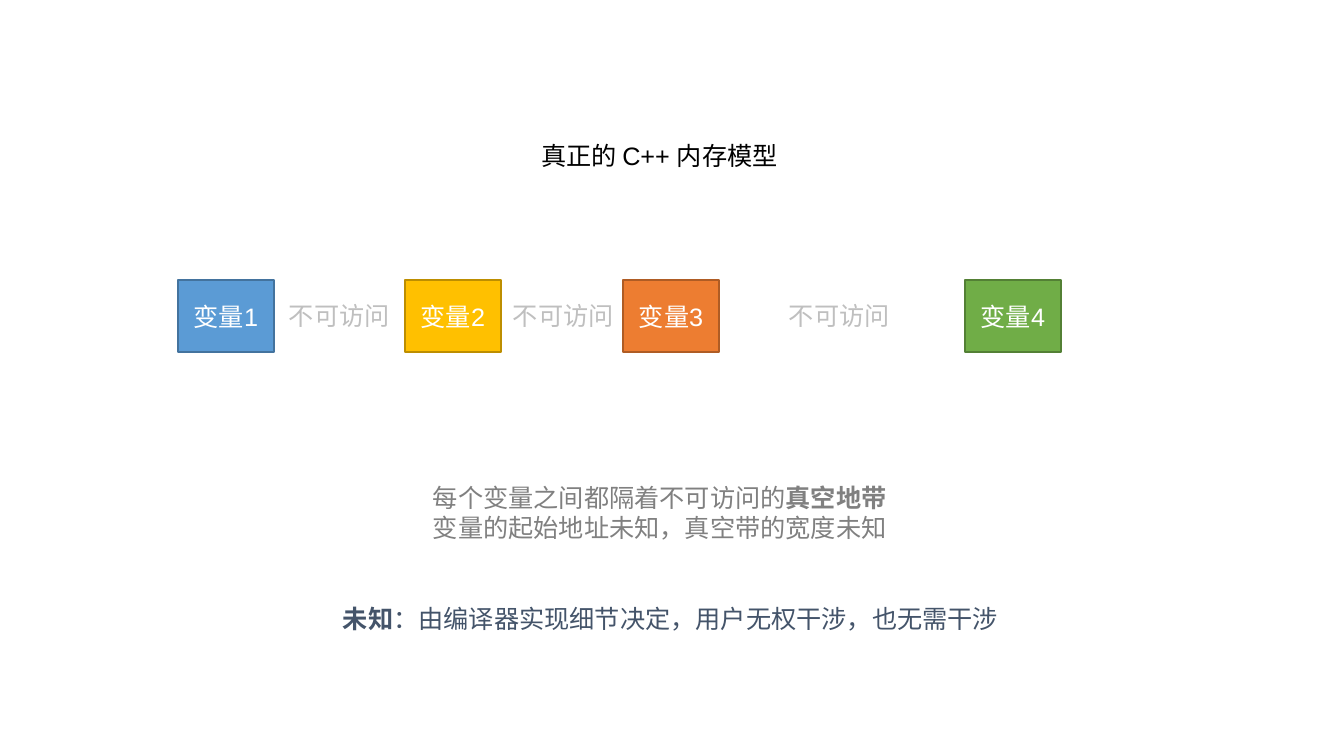
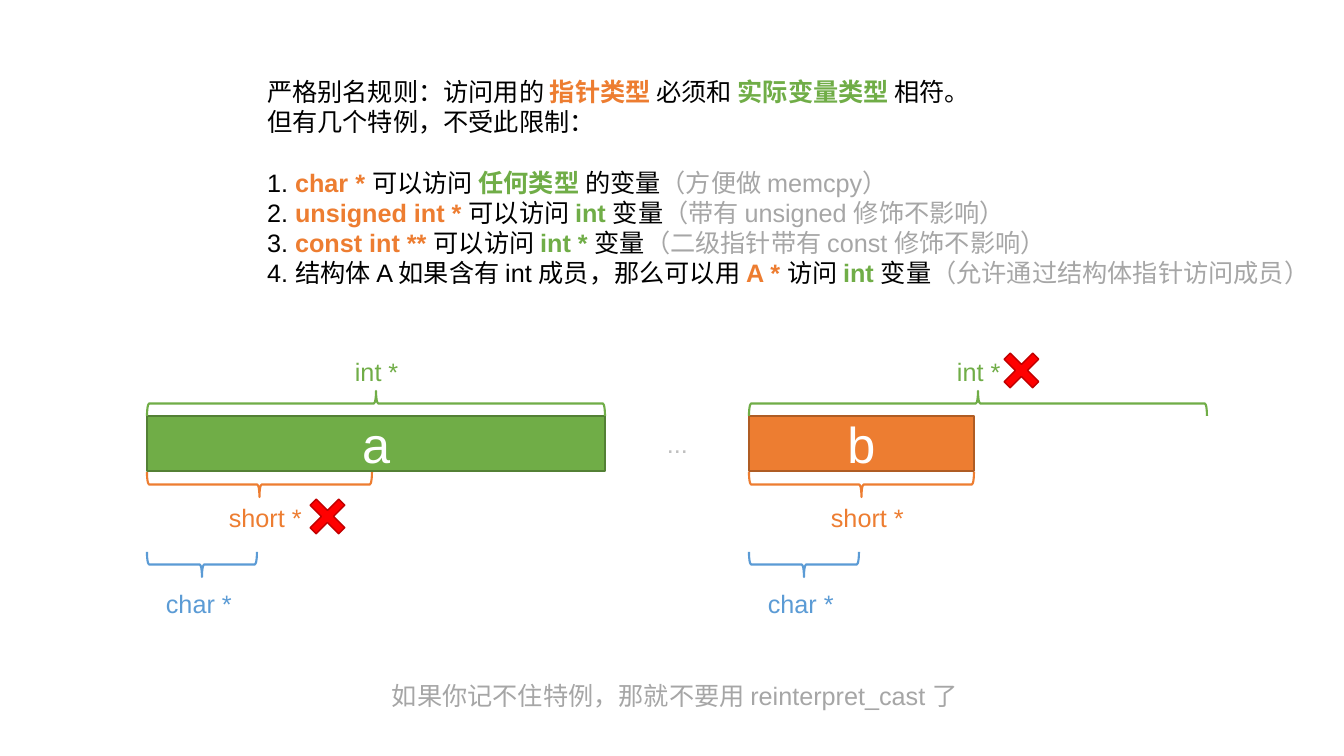
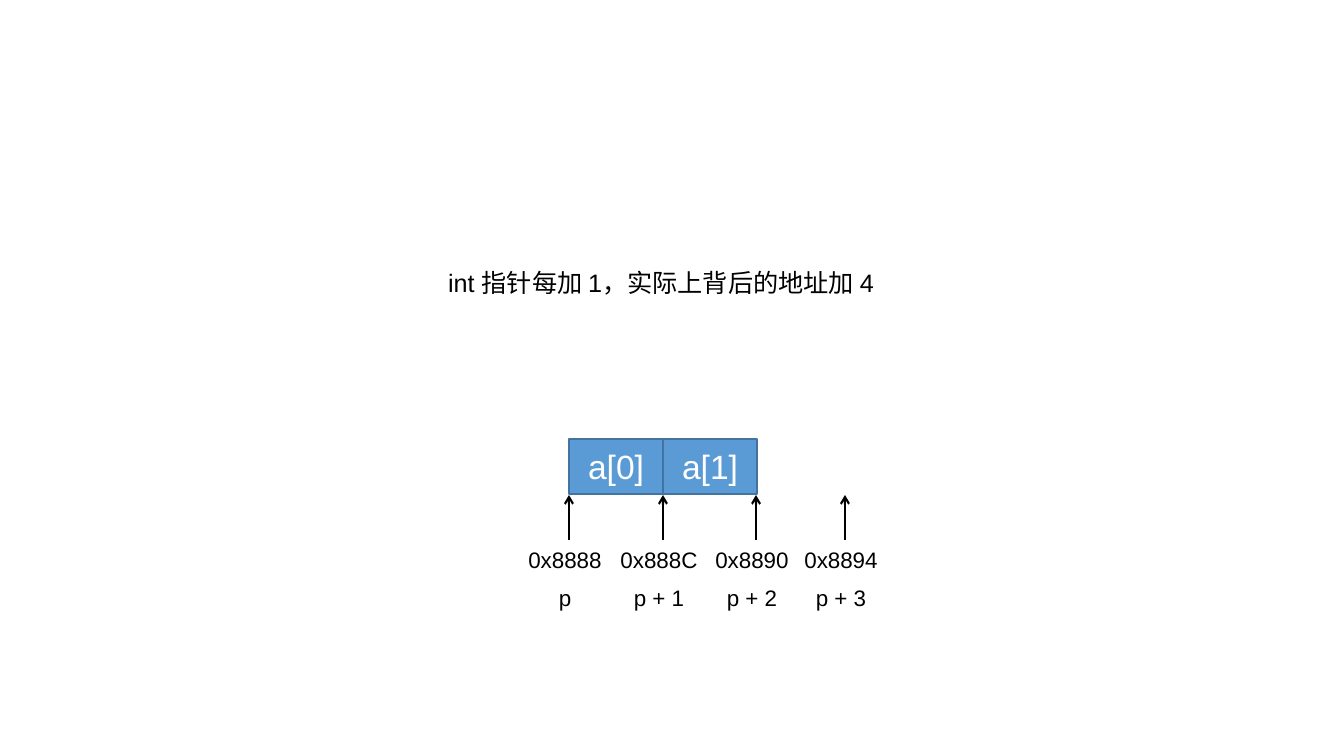
import pptx
import pptx.util
import pptx.dml.color
import pptx.enum.shapes
import pptx.enum.text
import pptx.oxml
import pptx.oxml.ns

RGBColor = pptx.dml.color.RGBColor
BLACK = RGBColor(0x00, 0x00, 0x00)
WHITE = RGBColor(0xFF, 0xFF, 0xFF)
SLATE = RGBColor(0x44, 0x54, 0x6A)
DARK = RGBColor(0x80, 0x80, 0x80)
GREY = RGBColor(0xA6, 0xA6, 0xA6)
PALE = RGBColor(0xBF, 0xBF, 0xBF)
BLUE = RGBColor(0x5B, 0x9B, 0xD5)
GOLD = RGBColor(0xFF, 0xC0, 0x00)
RUST = RGBColor(0xED, 0x7D, 0x31)
GREEN = RGBColor(0x70, 0xAD, 0x47)
RED = RGBColor(0xFF, 0x00, 0x00)
EDGE = {
    BLUE: RGBColor(0x43, 0x73, 0x9E),
    GOLD: RGBColor(0xBD, 0x8E, 0x00),
    RUST: RGBColor(0xAF, 0x5C, 0x24),
    GREEN: RGBColor(0x53, 0x80, 0x35),
    RED: RGBColor(0xC0, 0x00, 0x00),
}

WIDE, HIGH = 1344, 756
SCALE = 12192000 / WIDE
FONT = "Arial"
KIND = pptx.enum.shapes.MSO_SHAPE
ALIGN = pptx.enum.text.PP_ALIGN
TOP = pptx.enum.text.MSO_ANCHOR.TOP
MID = pptx.enum.text.MSO_ANCHOR.MIDDLE
FIXED = pptx.enum.text.MSO_AUTO_SIZE.NONE


def px(*nums):
    """Turn pixel lengths into a list of EMU lengths."""
    return [pptx.util.Emu(round(num * SCALE)) for num in nums]


def put(item, **form):
    """Set each format value on the item."""
    for name, value in form.items():
        setattr(item, name, value)


def plain(para):
    """Clear the bullet and indent of a paragraph."""
    props = para._p.get_or_add_pPr()
    props.set("marL", "0")
    props.set("indent", "0")
    props.append(pptx.oxml.parse_xml(
        "<a:buNone %s/>" % pptx.oxml.ns.nsdecls("a")))


def write(frame, lines, color, size=18, align=ALIGN.LEFT, anchor=TOP, wrap=False):
    """Fill a frame; a line is a string or a list of strings and coloured bold parts."""
    put(frame, word_wrap=wrap, auto_size=FIXED, vertical_anchor=anchor)
    for pos, line in enumerate(lines):
        para = frame.add_paragraph() if pos else frame.paragraphs[0]
        put(para, alignment=align, space_before=pptx.util.Pt(0))
        for part in [line] if isinstance(line, str) else line:
            text, tint, bold = (part, color, False) if isinstance(part, str) else part
            run = para.add_run()
            run.text = text
            put(run.font, name=FONT, size=pptx.util.Pt(size), bold=bold)
            run.font.color.rgb = tint


def fill_in(holder, box, lines):
    """Place and fill a title or body placeholder."""
    put(holder, **dict(zip(("left", "top", "width", "height"), px(*box))))
    write(holder.text_frame, lines, BLACK, wrap=True)
    for para in holder.text_frame.paragraphs:
        plain(para)


def label(slide, box, lines, color, **form):
    """Add a text box."""
    area = slide.shapes.add_textbox(*px(*box))
    write(area.text_frame, lines, color, **form)


def block(slide, box, color, text="", size=18, kind=KIND.RECTANGLE):
    """Add a filled shape with an edge and centred white text."""
    shape = slide.shapes.add_shape(kind, *px(*box))
    shape.shadow.inherit = False
    shape.fill.solid()
    shape.fill.fore_color.rgb = color
    shape.line.color.rgb = EDGE[color]
    shape.line.width = pptx.util.Pt(1)
    if text:
        write(shape.text_frame, [text], WHITE, size, ALIGN.CENTER, MID)
    return shape


def cross(slide, left, top):
    """Add a red cross."""
    mark = block(slide, (left, top, 55, 55), RED, kind=KIND.MATH_MULTIPLY)
    mark.adjustments[0] = 0.156


def brace(slide, left, top, span, color, turn):
    """Add a brace lying flat over the given span."""
    deep = 25
    box = (left + (span - deep) / 2, top + (deep - span) / 2, deep, span)
    shape = slide.shapes.add_shape(KIND.LEFT_BRACE, *px(*box))
    shape.shadow.inherit = False
    shape.fill.background()
    put(shape, rotation=turn)
    shape.line.color.rgb = color
    shape.line.width = pptx.util.Pt(1.5)


def arrow(slide, left, start, end):
    """Add an upright arrow from start to end."""
    link = slide.shapes.add_connector(
        pptx.enum.shapes.MSO_CONNECTOR.STRAIGHT, *px(left, start, left, end))
    link.line.color.rgb = BLACK
    link.line.width = pptx.util.Pt(1.5)
    space = pptx.oxml.ns.nsdecls("a")
    link.line._get_or_add_ln().append(
        pptx.oxml.parse_xml('<a:tailEnd %s type="arrow"/>' % space))
    link._element.spPr.append(pptx.oxml.parse_xml("<a:effectLst %s/>" % space))


def model(slide):
    """Draw the memory model slide."""
    fill_in(slide.shapes.title, (531, 135, 258, 72), ["真正的 C++ 内存模型"])
    cells = ((178, BLUE), (405, GOLD), (623, RUST), (965, GREEN))
    for num, (left, color) in enumerate(cells, 1):
        block(slide, (left, 280, 96, 72), color, f"变量{num}")
    for left in (279, 503, 779):
        label(slide, (left, 295, 121, 40), ["不可访问"], PALE)
    label(slide, (423, 477, 474, 72), [
        ["每个变量之间都隔着不可访问的", ("真空地带", DARK, True)],
        "变量的起始地址未知，真空带的宽度未知"], DARK)
    label(slide, (333, 598, 679, 40), [
        [("未知", SLATE, True), "：由编译器实现细节决定，用户无权干涉，也无需干涉"]], SLATE)


def rule(num, lead, by, kind, note):
    """Build the parts of one numbered exception."""
    return [f"{num}. {lead}", (by, RUST, True),
            "访问 " if lead else "可以访问 ", (kind, GREEN, True),
            "的变量" if num == 1 else "变量", (note, GREY, False)]


def alias(slide):
    """Draw the strict aliasing slide."""
    fill_in(slide.shapes.title, (257, 71, 1070, 72), [
        ["严格别名规则：访问用的 ", ("指针类型 ", RUST, True), "必须和 ",
         ("实际变量类型 ", GREEN, True), "相符。"],
        "但有几个特例，不受此限制："])
    fill_in(slide.placeholders[1], (257, 162, 1070, 162), [
        rule(1, "", "char * ", "任何类型 ", "（方便做 memcpy）"),
        rule(2, "", "unsigned int * ", "int ", "（带有 unsigned 修饰不影响）"),
        rule(3, "", "const int ** ", "int * ", "（二级指针带有 const 修饰不影响）"),
        rule(4, "结构体 A 如果含有 int 成员，那么可以用 ", "A * ", "int ",
             "（允许通过结构体指针访问成员）")])
    whole, half, part = 458, 225, 110
    spans = (
        ("int *", GREEN, whole, 391, 90, 198, 351, 64),
        ("short *", RUST, half, 472, 270, 72, 497, 93),
        ("char *", BLUE, part, 552, 270, 9, 583, 86),
    )
    for left, name, width, color in ((147, "a", whole, GREEN), (749, "b", half, RUST)):
        block(slide, (left, 416, width, 55), color, name, 36)
        for text, tint, span, top, turn, shift, base, wide in spans:
            brace(slide, left, top, span, tint, turn)
            label(slide, (left + shift, base, wide, 40), [text], tint)
    cross(slide, 300, 489)
    cross(slide, 994, 343)
    label(slide, (657, 423, 41, 40), ["..."], PALE)
    label(slide, (382, 675, 588, 72),
          ["如果你记不住特例，那就不要用 reinterpret_cast 了"], GREY, wrap=True)


def steps(slide):
    """Draw the pointer steps slide."""
    fill_in(slide.shapes.title, (438, 262, 449, 72),
            ["int 指针每加 1，实际上背后的地址加 4"])
    for num in range(2):
        block(slide, (569 + 94 * num, 439, 94, 55), BLUE, f"a[{num}]", 24)
    for num, left in enumerate((569, 663, 756, 845)):
        arrow(slide, left, 540, 495)
        names = (f"0x{0x8888 + 4 * num:X}", f"p + {num}" if num else "p")
        for top, text in zip((541, 579), names):
            label(slide, (left - 53, top, 98, 37), [text], BLACK,
                  size=16, align=ALIGN.CENTER)


def main():
    """Build and save the deck."""
    deck = pptx.Presentation()
    deck.slide_width, deck.slide_height = px(WIDE, HIGH)
    for draw, layout in ((model, 5), (alias, 1), (steps, 5)):
        draw(deck.slides.add_slide(deck.slide_layouts[layout]))
    deck.save("out.pptx")


if __name__ == "__main__":
    main()
